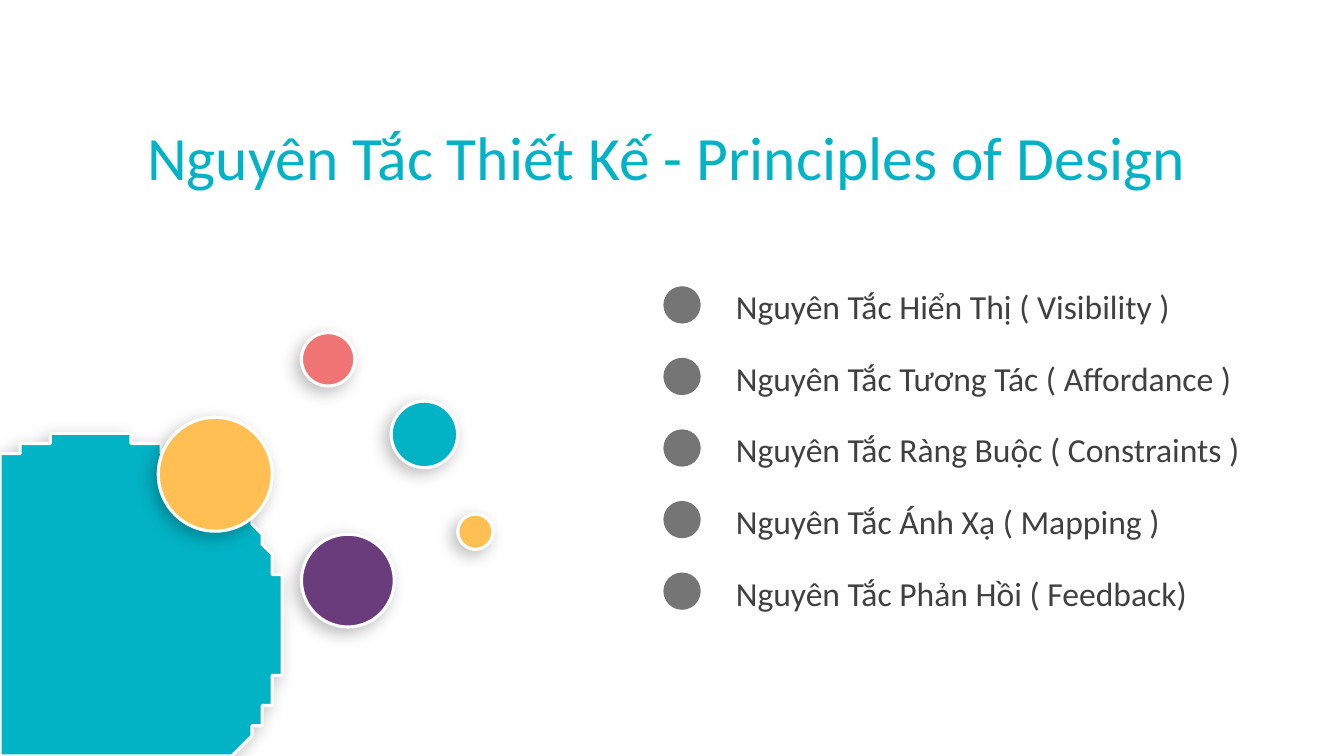
import math
from dataclasses import dataclass
from lxml import etree
from pptx import Presentation
from pptx import util as u
from pptx.dml.color import RGBColor
from pptx.enum import shapes, text
from pptx.oxml.ns import qn


@dataclass(frozen=True)
class Theme:
    font: str = "Calibri"
    teal: str = "02B3C5"
    purple: str = "6A3C7C"
    amber: str = "FFBF53"
    coral: str = "F07474"
    ink: str = "404040"
    white: str = "FFFFFF"
    title_size: int = 44
    item_size: int = 24


theme = Theme()
prs = Presentation()
prs.slide_width, prs.slide_height = u.Inches(13.33), u.Inches(7.5)
cell = prs.slide_height / 75
s = prs.slides.add_slide(prs.slide_layouts[5])


def write(sp, box, words, size, color):
    sp.left, sp.top, sp.width, sp.height = (round(n * cell) for n in box)
    tf = sp.text_frame
    tf.word_wrap = True
    tf.auto_size = text.MSO_AUTO_SIZE.SHAPE_TO_FIT_TEXT
    tf.vertical_anchor = text.MSO_ANCHOR.TOP
    p = tf.paragraphs[0]
    p.text = words
    p.alignment = text.PP_ALIGN.LEFT
    p.font.name, p.font.size = theme.font, u.Pt(size)
    p.font.color.rgb = RGBColor.from_string(color)


def paint_bubble(sp, color):
    sp.fill.solid()
    sp.fill.fore_color.rgb = RGBColor.from_string(color)
    sp.line.color.rgb = RGBColor.from_string(theme.white)
    sp.line.width = u.Pt(2.25)
    sp.shadow.inherit = False
    effects = sp._element.spPr.find(qn("a:effectLst"))
    shadow = etree.SubElement(
        effects, qn("a:outerShdw"), blurRad=str(u.Pt(12)), dist=str(u.Pt(5)),
        dir=str(135 * 60000), algn="tr", rotWithShape="0")
    black = etree.SubElement(shadow, qn("a:srgbClr"), val="000000")
    etree.SubElement(black, qn("a:alpha"), val="26000")


center_x, center_y, radius, steps = 9.2, 62.1, 19, 120
start = math.atan2(-math.sqrt(radius**2 - center_x**2), -center_x)
end = math.asin((75 - center_y) / radius)
arc = []
for i in range(steps + 1):
    angle = start + (end - start) * i / steps
    arc.append((center_x + radius * math.cos(angle),
                center_y + radius * math.sin(angle)))
outline = s.shapes.build_freeform(0, 75, scale=cell)
outline.add_line_segments(arc, close=True)
paint_bubble(outline.convert_to_shape(), theme.teal)

bubbles = [
    (29.9, 53, 9.2, theme.purple),
    (38.8, 39.8, 6.6, theme.teal),
    (15.7, 41.4, 11.3, theme.amber),
    (29.9, 33, 5.3, theme.coral),
    (45.4, 51, 3.5, theme.amber),
]
for left, top, size, color in bubbles:
    box = (round(n * cell) for n in (left, top, size, size))
    paint_bubble(s.shapes.add_shape(shapes.MSO_SHAPE.OVAL, *box), color)

write(s.shapes.title, (13.6, 11.3, 106.2, 8.4),
      "Nguyên Tắc Thiết Kế - Principles of Design", theme.title_size, theme.teal)

principles = [
    "Nguyên Tắc Hiển Thị ( Visibility )",
    "Nguyên Tắc Tương Tác ( Affordance )",
    "Nguyên Tắc Ràng Buộc ( Constraints )",
    "Nguyên Tắc Ánh Xạ ( Mapping )",
    "Nguyên Tắc Phản Hồi ( Feedback)",
]
for row, principle in enumerate(principles):
    top = 27.9 + 7.1 * row
    write(s.shapes.add_textbox(0, 0, 0, 0), (72, top, 53, 5),
          principle, theme.item_size, theme.ink)
    box = (round(n * cell) for n in (65.8, top + 0.5, 3.7, 3.7))
    dot = s.shapes.add_shape(shapes.MSO_SHAPE.OVAL, *box)
    dot.shadow.inherit = False
    dot.fill.solid()
    dot.fill.fore_color.rgb = RGBColor.from_string(theme.ink)
    dot.line.fill.background()
    color = dot._element.spPr.find(qn("a:solidFill"))[0]
    etree.SubElement(color, qn("a:alpha"), val="72000")

prs.save("out.pptx")
